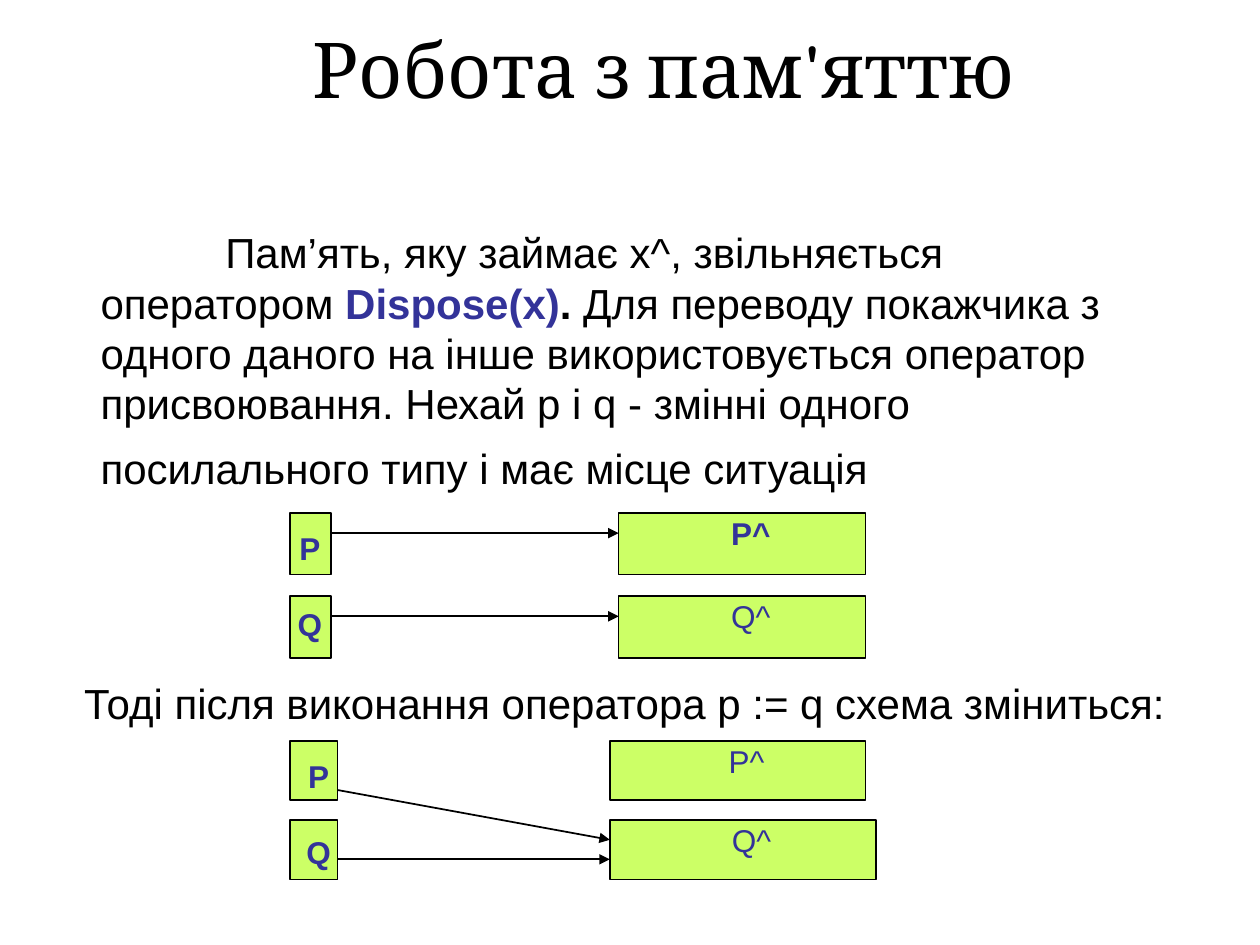
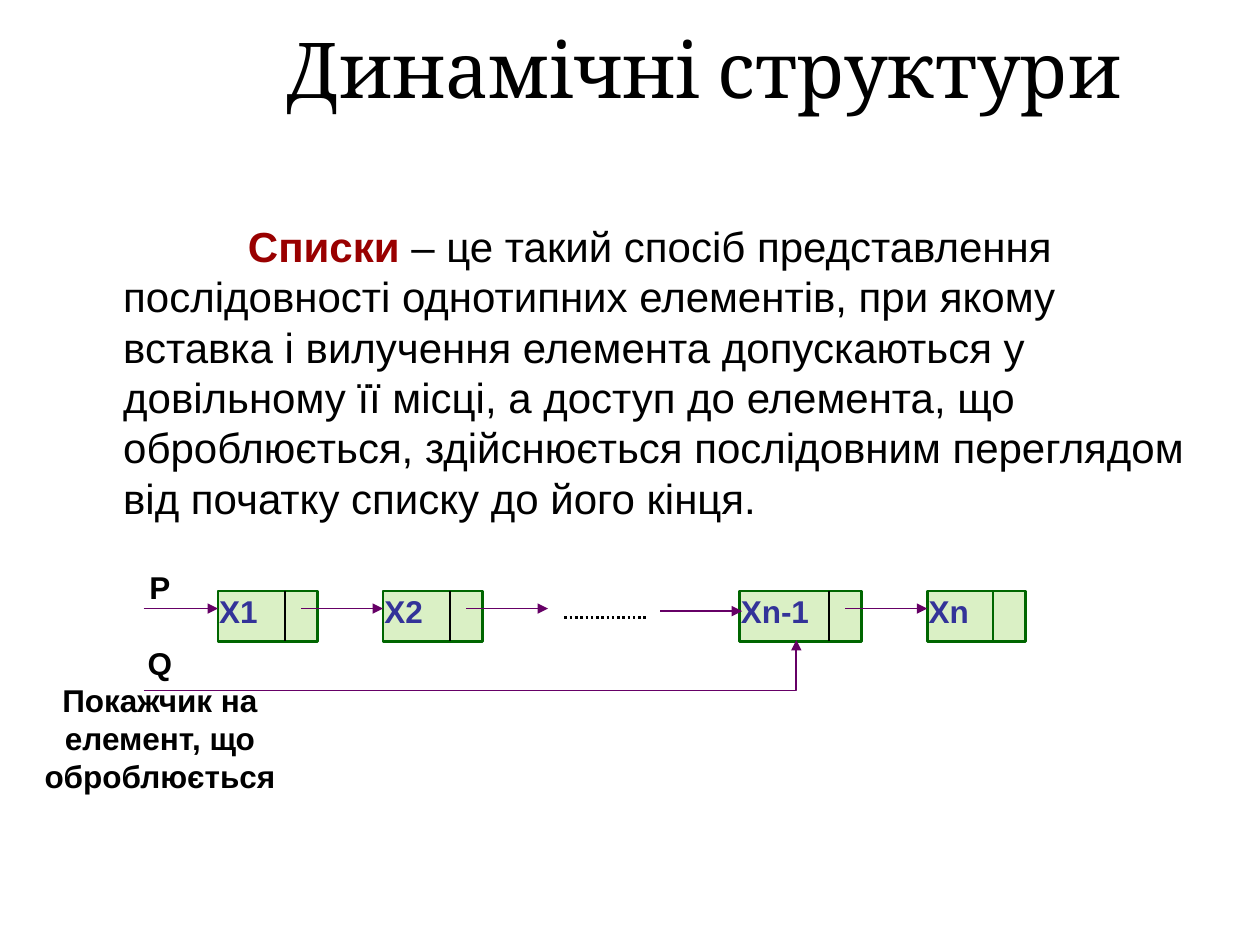
from lxml import etree
from pptx import Presentation
from pptx.dml.color import RGBColor
from pptx.enum.dml import MSO_LINE
from pptx.enum.shapes import MSO_CONNECTOR, MSO_SHAPE
from pptx.enum.text import MSO_ANCHOR, MSO_AUTO_SIZE, PP_ALIGN
from pptx.oxml.ns import qn
from pptx.util import Inches, Pt

BLACK, NAVY, RED = "000000", "333399", "990000"
LIME, LEAF, GREEN, PURPLE = "CCFF66", "B6E38D", "006600", "660066"

MEMORY_TITLE = "Робота з пам'яттю"
MEMORY_TEXT = [
    ("Пам’ять, яку займає x^, звільняється оператором ", 24, BLACK, False),
    ("Dispose(x)", 24, NAVY, True),
    (".", 24, BLACK, True),
    (" Для переводу покажчика з одного даного на інше використовується оператор "
     "присвоювання. Нехай p і q - змінні одного посилального типу і має місце ситуація",
     24, BLACK, False),
    (" ", 32, BLACK, False),
]
AFTER_TEXT = "Тоді після виконання оператора p := q схема зміниться:"
POINTER_LEFT = 2.3
SCHEMES = [
    {"tops": (4.07, 4.73), "height": 0.49, "pointer": 0.33, "left": 4.91,
     "values": [("P^", 1.96, True), ("Q^", 1.96, False)],
     "labels": (2.23, 4.15), "arrows": [(0, 0.33, 0, 0.33), (1, 0.33, 1, 0.33)]},
    {"tops": (5.88, 6.51), "height": 0.47, "pointer": 0.38, "left": 4.84,
     "values": [("P^", 2.03, False), ("Q^", 2.11, False)],
     "labels": (2.3, 5.96), "arrows": [(0, 0.83, 1, 0.33), (1, 0.66, 1, 0.66)]},
]

LIST_TITLE = "Динамічні структури"
LIST_TEXT = [
    ("Списки", 24, RED, True),
    (" – це такий спосіб представлення послідовності однотипних елементів, при якому "
     "вставка і вилучення елемента допускаються у довільному її місці, а доступ до "
     "елемента, що оброблюється, здійснюється послідовним переглядом від початку "
     "списку до його кінця.", 24, BLACK, False),
]
NODES = [("X1", 1.73, 0.79), ("X2", 3.04, 0.79), ("Xn-1", 5.87, 0.97), ("Xn", 7.36, 0.78)]
NODE_TOP, NODE_HEIGHT, LINK_CELL, LINK_LENGTH = 4.69, 0.4, 0.26, 0.65
LINK_Y = 4.83
LIST_LABELS = ["Р", "Q", "Покажчик на", "елемент, що", "оброблюється"]


def rgb(color):
    return RGBColor.from_string(color)


def inches(*values):
    return [Inches(v) for v in values]


def style(font, size, color, bold=False, name="Arial"):
    font.name, font.size, font.bold = name, Pt(size), bold
    font.color.rgb = rgb(color)


def add_arrowhead(sp):
    etree.SubElement(sp.line._get_or_add_ln(), qn("a:tailEnd"), type="triangle")


def add_slide(prs, title, left):
    slide = prs.slides.add_slide(prs.slide_layouts[5])
    sp = slide.shapes.title
    sp.left, sp.top, sp.width, sp.height = inches(left, 0, 7.32, 1.07)
    tf = sp.text_frame
    tf.text = title
    tf.auto_size = MSO_AUTO_SIZE.NONE
    tf.vertical_anchor = MSO_ANCHOR.MIDDLE
    tf.paragraphs[0].alignment = PP_ALIGN.CENTER
    style(tf.paragraphs[0].runs[0].font, 44, BLACK, name="Cambria")
    return slide


def add_body(slide, box, runs):
    tf = slide.shapes.add_textbox(*inches(*box)).text_frame
    tf.word_wrap = True
    p = tf.paragraphs[0]
    pPr = p._p.get_or_add_pPr()
    pPr.set("marL", str(Inches(0.38)))
    pPr.set("indent", str(Inches(0.99)))
    for text, size, color, bold in runs:
        r = p.add_run()
        r.text = text
        style(r.font, size, color, bold)


def add_labels(slide, box, lines, size, color, bold, align, wrap=False):
    tf = slide.shapes.add_textbox(*inches(*box)).text_frame
    tf.word_wrap = wrap
    tf.vertical_anchor = MSO_ANCHOR.MIDDLE
    tf.text = "\n".join(lines)
    for i, p in enumerate(tf.paragraphs):
        p.alignment = align
        if i == 1:
            p.space_before = Pt(21.5)
        style(p.runs[0].font, size, color, bold)


def add_box(slide, box, fill, line, width, text="", bold=False, align=PP_ALIGN.CENTER, inset=0.01):
    sp = slide.shapes.add_shape(MSO_SHAPE.RECTANGLE, *inches(*box))
    sp.shadow.inherit = False
    sp.fill.solid()
    sp.fill.fore_color.rgb = rgb(fill)
    sp.line.color.rgb = rgb(line)
    sp.line.width = Pt(width)
    if text:
        tf = sp.text_frame
        tf.vertical_anchor = MSO_ANCHOR.TOP
        tf.margin_left, tf.margin_top, tf.margin_right, tf.margin_bottom = inches(
            inset, 0.01, 0.01, 0.01)
        tf.text = text
        tf.paragraphs[0].alignment = align
        style(tf.paragraphs[0].runs[0].font, 18, NAVY, bold)
    return sp


def add_line(slide, ends, color, width=1, arrow=False):
    sp = slide.shapes.add_connector(MSO_CONNECTOR.STRAIGHT, *inches(*ends))
    sp.line.color.rgb = rgb(color)
    sp.line.width = Pt(width)
    if arrow:
        add_arrowhead(sp)
    etree.SubElement(sp._element.spPr, qn("a:effectLst"))
    return sp


def draw_scheme(slide, scheme):
    tops, height, left = scheme["tops"], scheme["height"], scheme["left"]
    for top, (text, width, bold) in zip(tops, scheme["values"]):
        add_box(slide, (POINTER_LEFT, top, scheme["pointer"], height), LIME, BLACK, 1)
        add_box(slide, (left, top, width, height), LIME, BLACK, 1, text, bold, inset=0.15)
    for start, start_share, end, end_share in scheme["arrows"]:
        add_line(slide, (POINTER_LEFT + scheme["pointer"], tops[start] + height * start_share,
                         left, tops[end] + height * end_share), BLACK, arrow=True)
    add_labels(slide, (*scheme["labels"], 0.46, 1), ["P", "Q"], 18, NAVY, True, PP_ALIGN.CENTER)


def draw_list(slide):
    bottom = NODE_TOP + NODE_HEIGHT
    links = [(1.14, NODES[0][1], LINK_Y), (5.24, 5.89, 4.85)]
    for i, (text, left, width) in enumerate(NODES):
        last = i == len(NODES) - 1
        sp = add_box(slide, (left, NODE_TOP, width, NODE_HEIGHT), LEAF, GREEN, 1.5,
                     text, True, PP_ALIGN.LEFT)
        etree.SubElement(sp.fill._xPr.find(qn("a:solidFill"))[0], qn("a:alpha"), val="50000")
        divider = left + width - LINK_CELL
        add_line(slide, (divider, NODE_TOP, divider, bottom),
                 GREEN if last else BLACK, 1.5 if last else 1)
        if not last:
            start = left + width - LINK_CELL / 2
            links.append((start, start + LINK_LENGTH, LINK_Y))
    for start, end, y in links:
        add_line(slide, (start, y, end, y), PURPLE, arrow=True)

    builder = slide.shapes.build_freeform(Inches(1.14), Inches(5.48))
    builder.add_line_segments([inches(6.32, 5.48), inches(6.32, 5.08)], close=False)
    sp = builder.convert_to_shape()
    sp.shadow.inherit = False
    sp.fill.background()
    sp.line.color.rgb = rgb(PURPLE)
    sp.line.width = Pt(1)
    add_arrowhead(sp)

    dots = add_line(slide, (4.48, 4.9, 5.14, 4.9), BLACK, 1.5)
    dots.line.dash_style = MSO_LINE.ROUND_DOT
    add_labels(slide, (0, 4.46, 2.54, 1.9), LIST_LABELS, 18, BLACK, True, PP_ALIGN.CENTER, True)


def main():
    prs = Presentation()
    prs.slide_width, prs.slide_height = inches(10, 7.5)

    slide = add_slide(prs, MEMORY_TITLE, 1.61)
    add_body(slide, (0.32, 1.75, 9, 3.26), MEMORY_TEXT)
    for scheme in SCHEMES:
        draw_scheme(slide, scheme)
    add_labels(slide, (0.57, 5.33, 8.82, 0.5), [AFTER_TEXT], 24, BLACK, False, PP_ALIGN.JUSTIFY)

    slide = add_slide(prs, LIST_TITLE, 1.93)
    add_body(slide, (0.5, 1.7, 9, 5), LIST_TEXT)
    draw_list(slide)

    prs.save("out.pptx")


if __name__ == "__main__":
    main()
